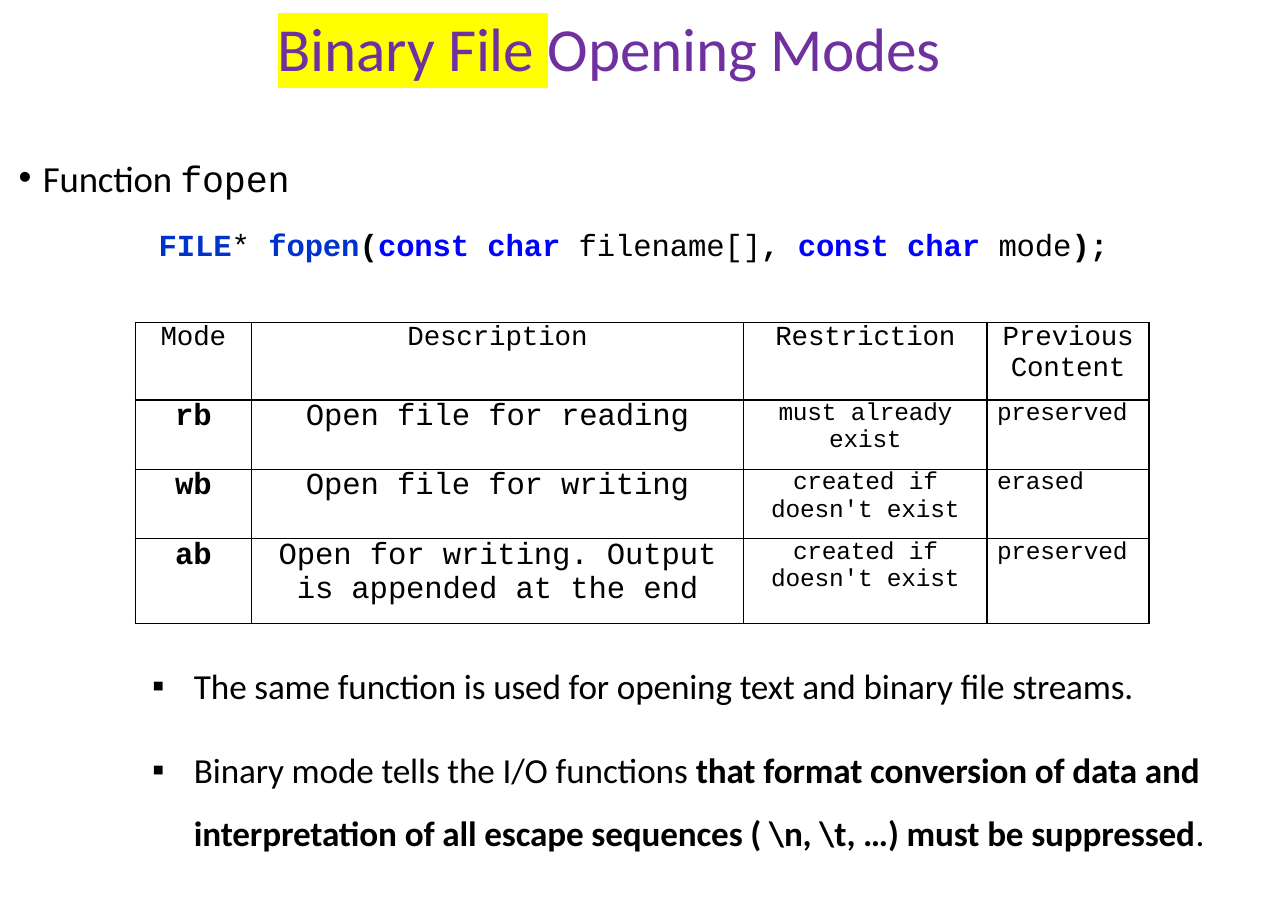
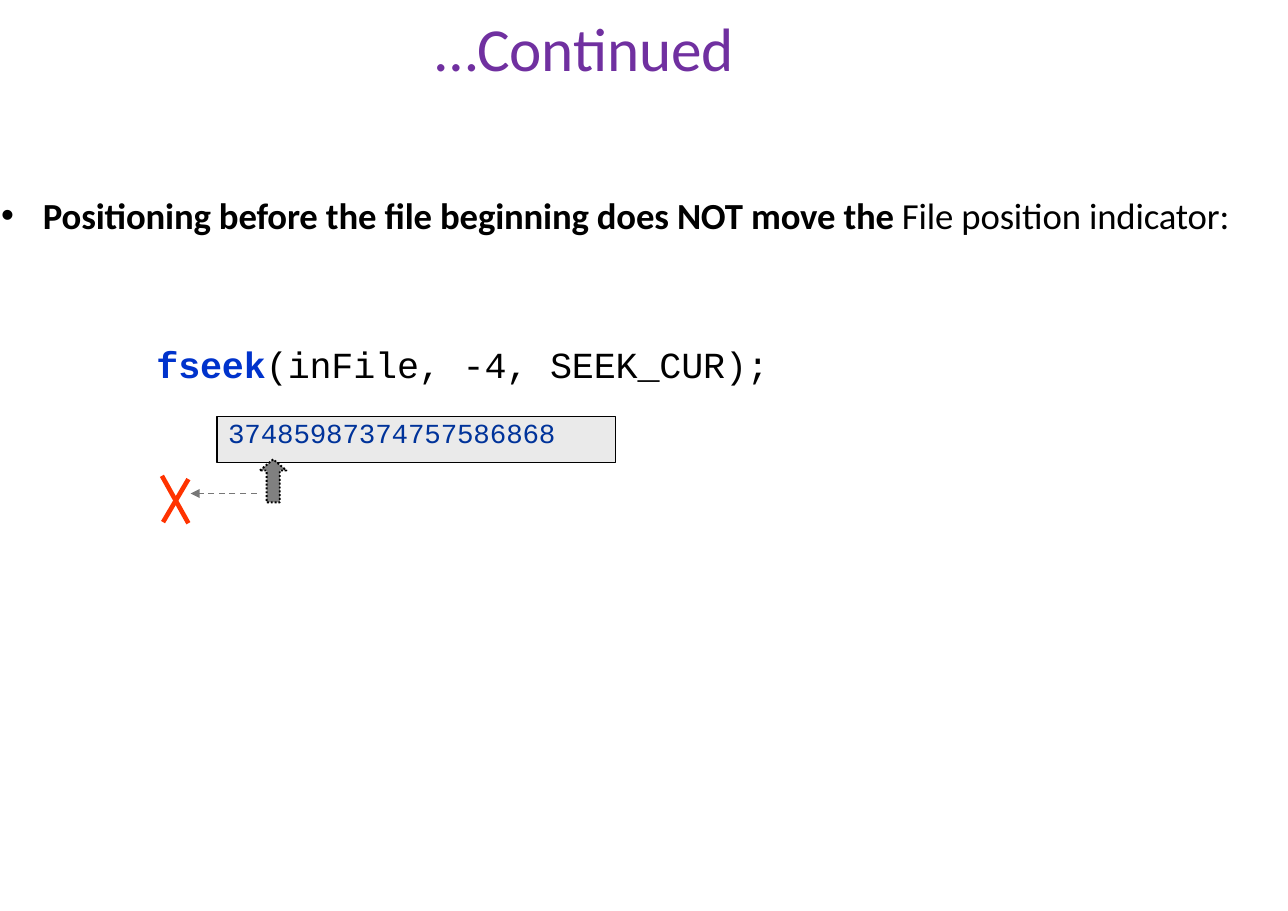
from lxml import etree
from pptx import Presentation
from pptx import util as u
from pptx.dml.color import RGBColor
from pptx.enum import dml, shapes, text
from pptx.oxml.ns import qn

BLACK, PURPLE, YELLOW = "000000", "7030A0", "FFFF00"
CODE_BLUE, KEYWORD_BLUE, DIGIT_BLUE = "0033CC", "0000FF", "00339A"
PALE_GREY, ARROW_GREY, DASH_GREY, RED = "EAEAEA", "808080", "777777", "FF3300"

TITLE = {"name": "Calibri", "size": u.Pt(40), "color": PURPLE}
LIST = {"name": "Calibri", "size": u.Pt(24), "color": BLACK}
NOTE = {**LIST, "size": u.Pt(23)}
CODE = {"name": "Courier New", "size": u.Pt(20), "color": BLACK}
TYPE = {"color": CODE_BLUE, "bold": True}
KEYWORD = {"color": KEYWORD_BLUE, "bold": True}
BOLD = {"bold": True}
ZERO_MARGINS = {"margin_left": 0, "margin_top": 0, "margin_right": 0, "margin_bottom": 0}
FRAME = {**ZERO_MARGINS, "word_wrap": True, "auto_size": text.MSO_AUTO_SIZE.NONE,
         "vertical_anchor": text.MSO_ANCHOR.TOP}
PARAGRAPH = {"alignment": text.PP_ALIGN.LEFT, "space_before": u.Pt(0)}


def rgb(value):
    return RGBColor.from_string(value)


def write(paragraph, runs, base, indent=0, hanging=0, bullet=None, **layout):
    """Write (text, format changes) runs into one paragraph."""
    for key, value in {**PARAGRAPH, **layout}.items():
        setattr(paragraph, key, value)
    props = paragraph._p.get_or_add_pPr()
    props.set("marL", str(u.Inches(indent)))
    props.set("indent", str(u.Inches(-hanging)))
    if bullet:
        etree.SubElement(props, qn("a:buChar")).set("char", bullet)
    for words, changes in runs:
        run = paragraph.add_run()
        run.text = words
        for key, value in {**base, **changes}.items():
            if key == "color":
                run.font.color.rgb = rgb(value)
            elif key == "highlight":
                mark = etree.Element(qn("a:highlight"))
                etree.SubElement(mark, qn("a:srgbClr")).set("val", value)
                run.font._element.find(qn("a:solidFill")).addnext(mark)
            else:
                setattr(run.font, key, value)
        run.font._element.set("spc", "-10")


prs = Presentation()
prs.slide_width, prs.slide_height = u.Inches(11.69), u.Inches(8.27)
modes = prs.slides.add_slide(prs.slide_layouts[3])
continued = prs.slides.add_slide(prs.slide_layouts[1])

# Titles
titles = [
    (modes, 0.27, [("Binary File ", {"highlight": YELLOW}), ("Opening Modes", {})]),
    (continued, 1.7, [("…Continued", {})]),
]
for slide, indent, runs in titles:
    title = slide.shapes.title
    title.left, title.top, title.width, title.height = map(u.Inches, (2.25, 0, 7.16, 0.78))
    for key, value in {**FRAME, "margin_top": u.Inches(0.09)}.items():
        setattr(title.text_frame, key, value)
    write(title.text_frame.paragraphs[0], runs, TITLE, indent)

# Lists and code lines
function_list, notes_list = list(modes.placeholders)[1:]
position_list = continued.placeholders[1]
prototype = modes.shapes.add_textbox(0, 0, 0, 0)
seek_call = continued.shapes.add_textbox(0, 0, 0, 0)

# Value buffer of the file
buffer = continued.shapes.add_shape(shapes.MSO_SHAPE.RECTANGLE, 0, 0, 0, 0)
buffer.shadow.inherit = False
buffer.fill.solid()
buffer.fill.fore_color.rgb = rgb(PALE_GREY)
buffer.line.color.rgb = rgb(BLACK)
buffer.line.width = u.Pt(0.75)

# Each block: box, then its paragraphs as (runs, base, layout)
blocks = [
    (function_list, (0.15, 1.41, 2.89, 0.42), [
        ([("Function ", {}), ("fopen", {"name": "Courier New"})], LIST,
         {"indent": 0.24, "hanging": 0.22, "bullet": "•"})]),
    (prototype, (1.43, 2.05, 9.01, 0.67), [
        ([("FILE", TYPE), ("* ", {}), ("fopen", TYPE), ("(", BOLD),
          ("const char ", KEYWORD), ("filename[]", {}), (", ", BOLD),
          ("const char ", KEYWORD), ("mode", {}), (");", BOLD)], CODE, {"indent": 0.01})]),
    (notes_list, (1.37, 6.03, 10.15, 1.67), [
        ([("The same function is used for opening text and binary file streams.", {})], NOTE,
         {"indent": 0.39, "hanging": 0.38, "bullet": "▪"}),
        ([("Binary mode tells the I/O functions ", {}),
          ("that format conversion of data and interpretation of all escape "
           "sequences ( \\n, \\t, …) must be suppressed", BOLD), (".", {})], NOTE,
         {"indent": 0.39, "hanging": 0.38, "bullet": "▪",
          "line_spacing": 1.5, "space_before": u.Pt(13.4)})]),
    (position_list, (0, 1.55, 11.69, 0.54), [
        ([("Positioning before the file beginning does NOT move the ", BOLD),
          ("File position indicator:", {})], LIST,
         {"indent": 0.39, "hanging": 0.38, "bullet": "•", "line_spacing": 1.5})]),
    (seek_call, (1.41, 3.1, 9.02, 0.4), [
        ([("fseek", TYPE), ("(inFile, -4, SEEK_CUR);", {})],
         {**CODE, "size": u.Pt(24)}, {"indent": 0.01})]),
    (buffer, (1.97, 3.78, 3.62, 0.42), [
        ([("37485987374757586868", {})],
         {**CODE, "size": u.Pt(18), "color": DIGIT_BLUE}, {"indent": 0.1})]),
]
for block, box, paragraphs in blocks:
    block.left, block.top, block.width, block.height = map(u.Inches, box)
    frame = block.text_frame
    for key, value in FRAME.items():
        setattr(frame, key, value)
    for number, (runs, base, layout) in enumerate(paragraphs):
        paragraph = frame.add_paragraph() if number else frame.paragraphs[0]
        write(paragraph, runs, base, **layout)

# Table of opening modes
mode_rows = [
    ("Mode", "Description", "Restriction", "Previous Content"),
    ("rb", "Open file for reading", "must already exist", "preserved"),
    ("wb", "Open file for writing", "created if doesn't exist", "erased"),
    ("ab", "Open for writing. Output is appended at the end",
     "created if doesn't exist", "preserved"),
]
column_widths = (1.05, 4.47, 2.21, 1.47)
row_heights = (0.7, 0.63, 0.63, 0.77)
column_sizes = (20, 20, 16, 16)
mode_table = modes.shapes.add_table(
    len(mode_rows), len(column_widths), u.Inches(1.23), u.Inches(2.93),
    u.Inches(sum(column_widths)), u.Inches(sum(row_heights))).table
mode_table.first_row = mode_table.horz_banding = False
for column, width in zip(mode_table.columns, column_widths):
    column.width = u.Inches(width)
for r, (words_in_row, height) in enumerate(zip(mode_rows, row_heights)):
    mode_table.rows[r].height = u.Inches(height)
    for c, words in enumerate(words_in_row):
        cell = mode_table.cell(r, c)
        for key, value in {**ZERO_MARGINS, "margin_left": u.Inches(0.09),
                           "margin_right": u.Inches(0.09)}.items():
            setattr(cell, key, value)
        cell.fill.background()
        for position, side in enumerate(("lnL", "lnR", "lnT", "lnB")):
            border = etree.Element(qn("a:" + side), w=str(u.Pt(1)))
            fill = etree.SubElement(border, qn("a:solidFill"))
            etree.SubElement(fill, qn("a:srgbClr")).set("val", BLACK)
            cell._tc.tcPr.insert(position, border)
        base = {**CODE, "size": u.Pt(column_sizes[c] if r else 18), "bold": r > 0 and c == 0}
        centred = r == 0 or c < 3
        write(cell.text_frame.paragraphs[0], [(words, {})], base,
              alignment=text.PP_ALIGN.CENTER if centred else text.PP_ALIGN.LEFT)

# Blocked move to the left: dashed arrow and red cross
strokes = [
    ((2.33, 4.48, 1.73, 4.48), DASH_GREY, 1, True),
    ((1.47, 4.32, 1.71, 4.75), RED, 3, False),
    ((1.71, 4.35, 1.48, 4.74), RED, 3, False),
]
for ends, colour, width, is_arrow in strokes:
    stroke = continued.shapes.add_connector(shapes.MSO_CONNECTOR.STRAIGHT, *map(u.Inches, ends))
    stroke.line.color.rgb = rgb(colour)
    stroke.line.width = u.Pt(width)
    if is_arrow:
        stroke.line.dash_style = dml.MSO_LINE.DASH
        etree.SubElement(stroke.line._get_or_add_ln(), qn("a:tailEnd")).set("type", "triangle")
    etree.SubElement(stroke._element.spPr, qn("a:effectLst"))

# File position indicator
indicator = continued.shapes.add_shape(
    shapes.MSO_SHAPE.UP_ARROW, *map(u.Inches, (2.36, 4.17, 0.24, 0.39)))
indicator.shadow.inherit = False
indicator.adjustments[0], indicator.adjustments[1] = 0.5, 0.42
indicator.fill.solid()
indicator.fill.fore_color.rgb = rgb(ARROW_GREY)
indicator.line.color.rgb = rgb(BLACK)
indicator.line.width = u.Pt(1.25)
indicator.line.dash_style = dml.MSO_LINE.ROUND_DOT

prs.save("out.pptx")
